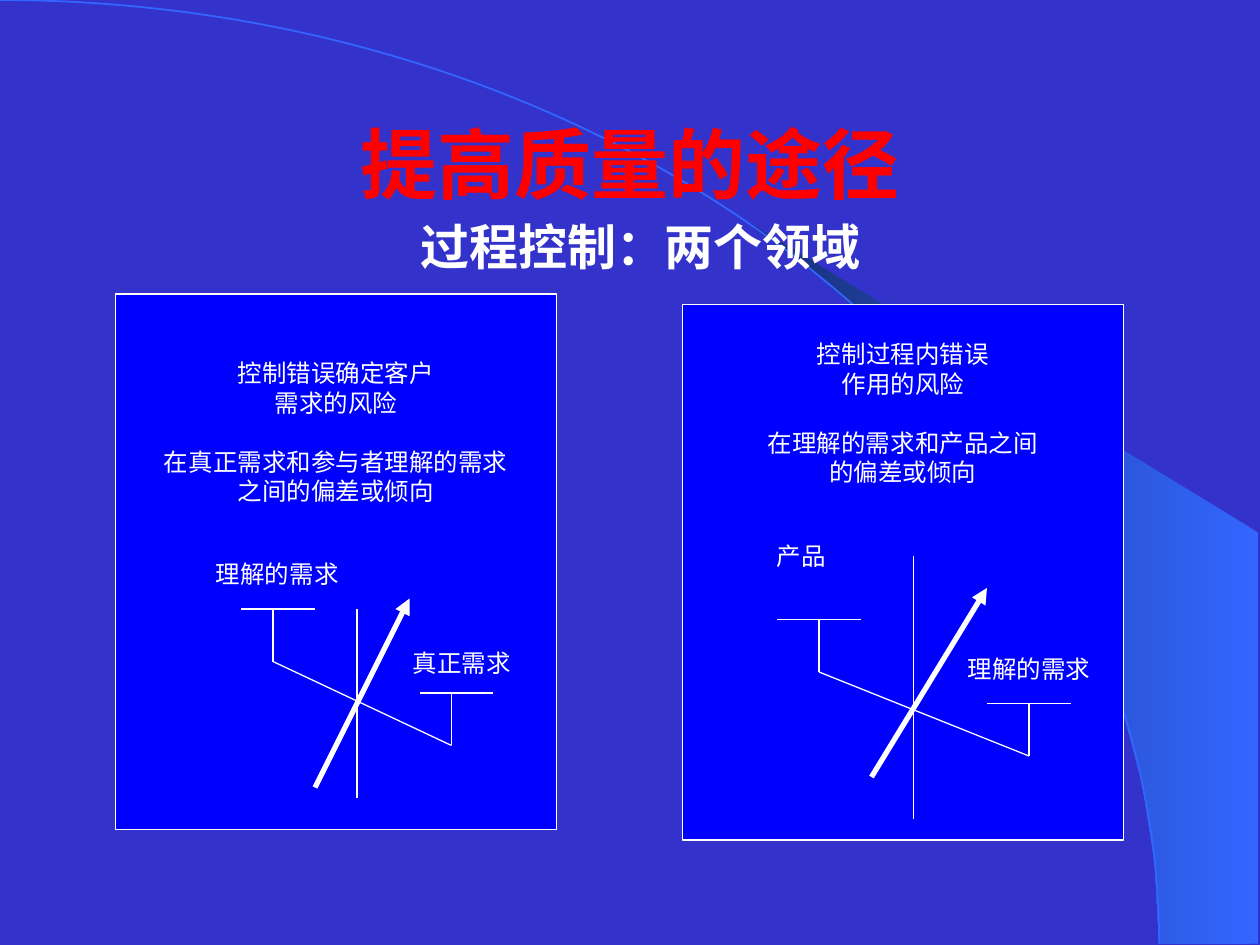
from dataclasses import dataclass
from math import cos, radians, sin

from lxml.etree import SubElement
from pptx import Presentation
from pptx.dml.color import RGBColor
from pptx.enum.shapes import MSO_CONNECTOR as Link, MSO_SHAPE as Shape
from pptx.enum.text import MSO_ANCHOR as Anchor, PP_ALIGN as Align
from pptx.oxml.ns import qn
from pptx.util import Inches, Pt

WHITE, RED, PANEL_BLUE = "FFFFFF", "FF0000", "0000FF"
BACKDROP, ARC_BLUE, WEDGE_DARK = "3333CC", "3366FF", "172F75"
COLUMNS = 120  # the slide is a grid of 120 columns by 90 rows
ARC_WIDTH, ARC_HEIGHT = 9.2, 7.49  # half axes of the backdrop ellipse, inches


@dataclass
class Row:
    """A line of panel text; an indent in columns makes it left-aligned."""
    text: str
    before: float = 0
    indent: float | None = None


@dataclass
class Post:
    """A level bar standing on a stem."""
    left: int
    width: int
    stem: int
    top: int
    foot_drop: int = 5

    @property
    def foot(self) -> tuple[int, int]:
        return self.stem, self.top + self.foot_drop


@dataclass
class Panel:
    left: int
    top: int
    text_top: float
    rows: list[Row]
    posts: tuple[Post, Post]
    axis: tuple[int, int, int]  # column, first row, last row
    arrow: tuple[tuple[int, int], tuple[int, int]]
    width: int = 42
    height: int = 51


PANELS = [
    Panel(11, 28, 6.12, [
        Row("控制错误确定客户"), Row("需求的风险"),
        Row("在真正需求和参与者理解的需求", 16.8), Row("之间的偏差或倾向"),
        Row("理解的需求", 30.7, 8.38), Row("真正需求", 34, 27.15)],
        (Post(23, 7, 26, 58), Post(40, 7, 43, 66)),
        (34, 58, 76), ((30, 75), (39, 57))),
    Panel(65, 29, 3.32, [
        Row("控制过程内错误"), Row("作用的风险"),
        Row("在理解的需求和产品之间", 16.8), Row("的偏差或倾向"),
        Row("产品", 31, 7.8), Row("理解的需求", 48, 25.98)],
        (Post(74, 8, 78, 59), Post(94, 8, 98, 67)),
        (87, 53, 78), ((83, 74), (94, 56))),
]

prs = Presentation()
prs.slide_width, prs.slide_height = Inches(10), Inches(7.5)
slide = prs.slides.add_slide(prs.slide_layouts[5])
shapes = slide.shapes


def cells(count: float) -> int:
    return round(prs.slide_width * count / COLUMNS)


def colour(hex_value: str) -> RGBColor:
    return RGBColor.from_string(hex_value)


def assign(target, values: dict) -> None:
    for key, value in values.items():
        setattr(target, key, value)


def style_text(paragraph, size: float, hex_value: str, bold: bool = False) -> None:
    assign(paragraph.font, {"name": "Arial", "size": Pt(size), "bold": bold})
    paragraph.font.color.rgb = colour(hex_value)


def set_heading(box, place: tuple, text: str, size: float, hex_value: str, anchor) -> None:
    left, top, width, height = map(cells, place)
    assign(box, {"left": left, "top": top, "width": width, "height": height})
    frame = box.text_frame
    assign(frame, {"text": text, "word_wrap": True, "vertical_anchor": anchor})
    frame.paragraphs[0].alignment = Align.CENTER
    style_text(frame.paragraphs[0], size, hex_value, True)


def arc_point(degree: int) -> tuple[int, int]:
    """A point of the backdrop ellipse, measured clockwise from its top."""
    angle = radians(degree)
    return Inches(ARC_WIDTH * sin(angle)), Inches(ARC_HEIGHT * (1 - cos(angle)))


def draw_wedge() -> None:
    points = [*map(arc_point, range(40, 91, 5)),
              (Inches(9.99), Inches(7.49)), (Inches(9.99), Inches(4.23))]
    builder = shapes.build_freeform(*points[0])
    builder.add_line_segments(points[1:], close=True)
    wedge = builder.convert_to_shape()
    wedge.shadow.inherit = False
    wedge.fill.gradient()
    wedge.fill.gradient_angle = 180
    for stop, position, tone in zip(wedge.fill.gradient_stops, (0, 1), (ARC_BLUE, WEDGE_DARK)):
        stop.position = position
        stop.color.rgb = colour(tone)
    wedge.line.fill.background()


def draw_arc() -> None:
    arc = shapes.add_shape(Shape.ARC, Inches(-ARC_WIDTH), 0,
                           Inches(2 * ARC_WIDTH), Inches(2 * ARC_HEIGHT))
    arc.shadow.inherit = False
    arc.fill.background()
    arc.line.color.rgb = colour(ARC_BLUE)
    arc.line.width = Pt(1)


def draw_line(start: tuple, end: tuple, width: float = 0.75, arrow: bool = False) -> None:
    line = shapes.add_connector(Link.STRAIGHT, *map(cells, (*start, *end)))
    line.line.width = Pt(width)
    line.line.color.rgb = colour(WHITE)
    if arrow:
        SubElement(line.line._get_or_add_ln(), qn("a:tailEnd"), type="triangle")
    SubElement(line._element.spPr, qn("a:effectLst"))


def draw_panel(panel: Panel) -> None:
    box = shapes.add_shape(
        Shape.RECTANGLE, *map(cells, (panel.left, panel.top, panel.width, panel.height)))
    box.shadow.inherit = False
    box.fill.solid()
    box.fill.fore_color.rgb = colour(PANEL_BLUE)
    box.line.color.rgb = colour(WHITE)
    box.line.width = Pt(0.75)
    frame = box.text_frame
    assign(frame, {"word_wrap": True, "vertical_anchor": Anchor.TOP,
                   "margin_top": cells(panel.text_top)})
    for index, row in enumerate(panel.rows):
        paragraph = frame.add_paragraph() if index else frame.paragraphs[0]
        paragraph.text = row.text
        paragraph.alignment = Align.CENTER
        if row.before:
            paragraph.space_before = Pt(row.before)
        if row.indent is not None:
            paragraph.alignment = Align.LEFT
            paragraph._p.get_or_add_pPr().set("marL", str(cells(row.indent)))
        style_text(paragraph, 14, WHITE)


def draw_balance(panel: Panel) -> None:
    for post in panel.posts:
        draw_line((post.left, post.top), (post.left + post.width, post.top))
        draw_line((post.stem, post.top), post.foot)
    draw_line(panel.posts[0].foot, panel.posts[1].foot)
    column, first, last = panel.axis
    draw_line((column, first), (column, last))
    draw_line(*panel.arrow, width=3, arrow=True)


# Backdrop: a shaded wedge and the arc that bounds it
slide.background.fill.solid()
slide.background.fill.fore_color.rgb = colour(BACKDROP)
draw_wedge()
draw_arc()

# Headings, with the title raised above the backdrop
title = shapes.title
title._element.getparent().append(title._element)
set_heading(title, (9, 8, 102, 15), "提高质量的途径", 44, RED, Anchor.MIDDLE)
subtitle = shapes.add_textbox(0, 0, 0, 0)
set_heading(subtitle, (10, 20, 102, 7), "过程控制：两个领域", 28, WHITE, Anchor.TOP)

# Two areas of control
for area in PANELS:
    draw_panel(area)
    draw_balance(area)

prs.save("out.pptx")
